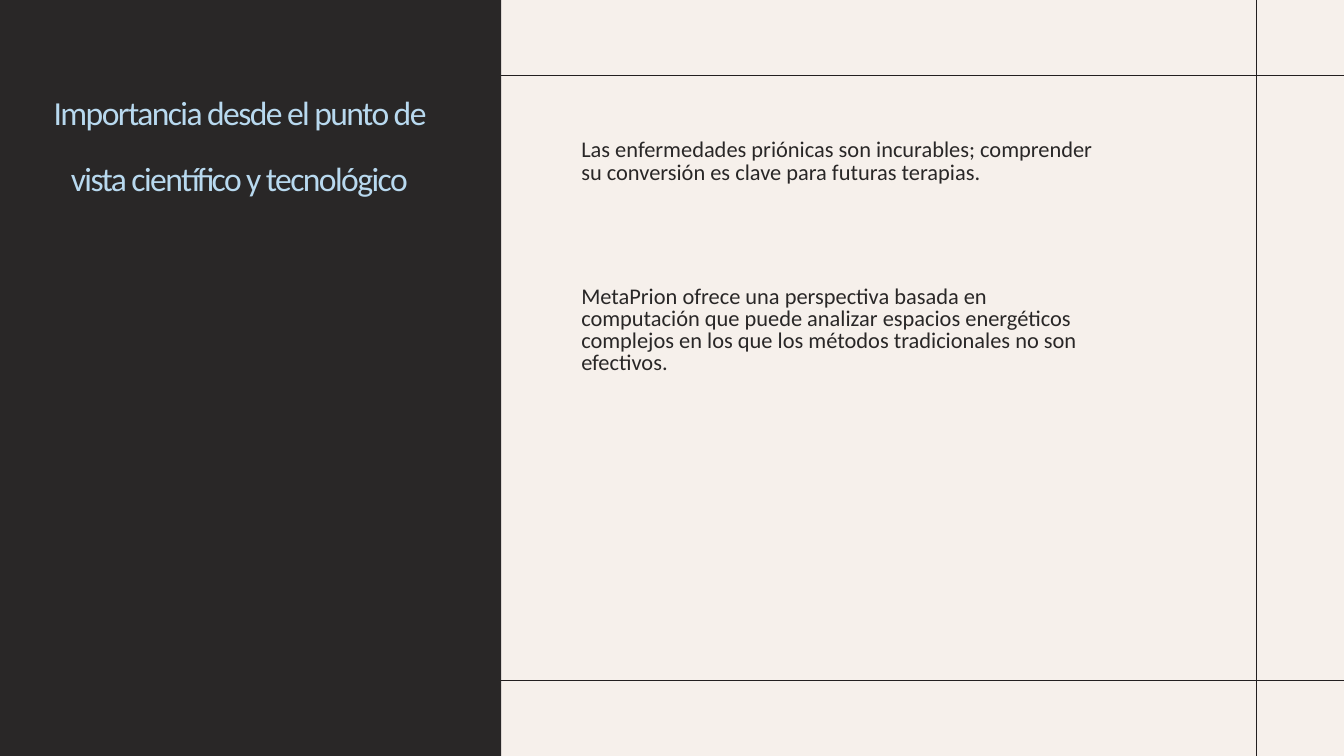
from pptx import Presentation
from pptx.dml.color import RGBColor
from pptx.enum.shapes import MSO_CONNECTOR, MSO_SHAPE
from pptx.enum.text import MSO_AUTO_SIZE, PP_ALIGN
from pptx.oxml.ns import qn
from pptx.util import Inches, Pt
from lxml import etree

STRAIGHT = MSO_CONNECTOR.STRAIGHT
RECTANGLE = MSO_SHAPE.RECTANGLE
FIT_SHAPE = MSO_AUTO_SIZE.SHAPE_TO_FIT_TEXT
LEFT, CENTER = PP_ALIGN.LEFT, PP_ALIGN.CENTER

CREAM = RGBColor(0xF6, 0xF0, 0xEB)
CHARCOAL = RGBColor(0x29, 0x27, 0x27)
RULE_BLACK = RGBColor(0x23, 0x1F, 0x20)
PALE_BLUE = RGBColor(0xB8, 0xD9, 0xEF)

WIDTH, HEIGHT = Inches(20), Inches(11.25)
PANEL_WIDTH = Inches(7.46)
BODY_LEFT = Inches(8.65)
RULE_ROWS = (Inches(1.12), Inches(10.12))
RULE_COLUMN = Inches(18.7)

presentation = Presentation()
presentation.slide_width, presentation.slide_height = WIDTH, HEIGHT
slide = presentation.slides.add_slide(presentation.slide_layouts[6])
slide.background.fill.solid()
slide.background.fill.fore_color.rgb = CREAM


def add_text(text, left, top, width, height, size=24, color=CHARCOAL,
             leading=23.6, align=LEFT, tracking=0):
    box = slide.shapes.add_textbox(left, top, width, height)
    frame = box.text_frame
    frame.margin_left = frame.margin_right = 0
    frame.margin_top = frame.margin_bottom = 0
    frame.word_wrap = True
    frame.auto_size = FIT_SHAPE
    paragraph = frame.paragraphs[0]
    paragraph.alignment = align
    paragraph.line_spacing = Pt(leading)
    run = paragraph.add_run()
    run.text = text
    run.font.name = "Calibri"
    run.font.size = Pt(size)
    run.font.color.rgb = color
    if tracking:
        run.font._element.set("spc", str(round(tracking * 100)))


rules = [(0, row, WIDTH, row) for row in RULE_ROWS]
rules.append((RULE_COLUMN, 0, RULE_COLUMN, HEIGHT))
for ends in rules:
    rule = slide.shapes.add_connector(STRAIGHT, *ends)
    rule.line.color.rgb = RULE_BLACK
    rule.line.width = Pt(0.75)
    etree.SubElement(rule._element.spPr, qn("a:effectLst"))

panel = slide.shapes.add_shape(RECTANGLE, 0, 0, PANEL_WIDTH, HEIGHT)
panel.shadow.inherit = False
panel.fill.solid()
panel.fill.fore_color.rgb = CHARCOAL
panel.line.fill.background()

add_text("Las enfermedades priónicas son incurables; comprender su conversión "
         "es clave para futuras terapias.",
         BODY_LEFT, Inches(2.09), Inches(7.85), Inches(0.97))
add_text("MetaPrion ofrece una perspectiva basada en computación que puede "
         "analizar espacios energéticos complejos en los que los métodos "
         "tradicionales no son efectivos.",
         BODY_LEFT, Inches(4.27), Inches(7.46), Inches(1.64))
add_text("Importancia desde el punto de vista científico y tecnológico",
         Inches(0.45), Inches(0.98), Inches(6.22), Inches(3.13),
         size=36, color=PALE_BLUE, leading=71, align=CENTER, tracking=-1.7)

presentation.save("out.pptx")
